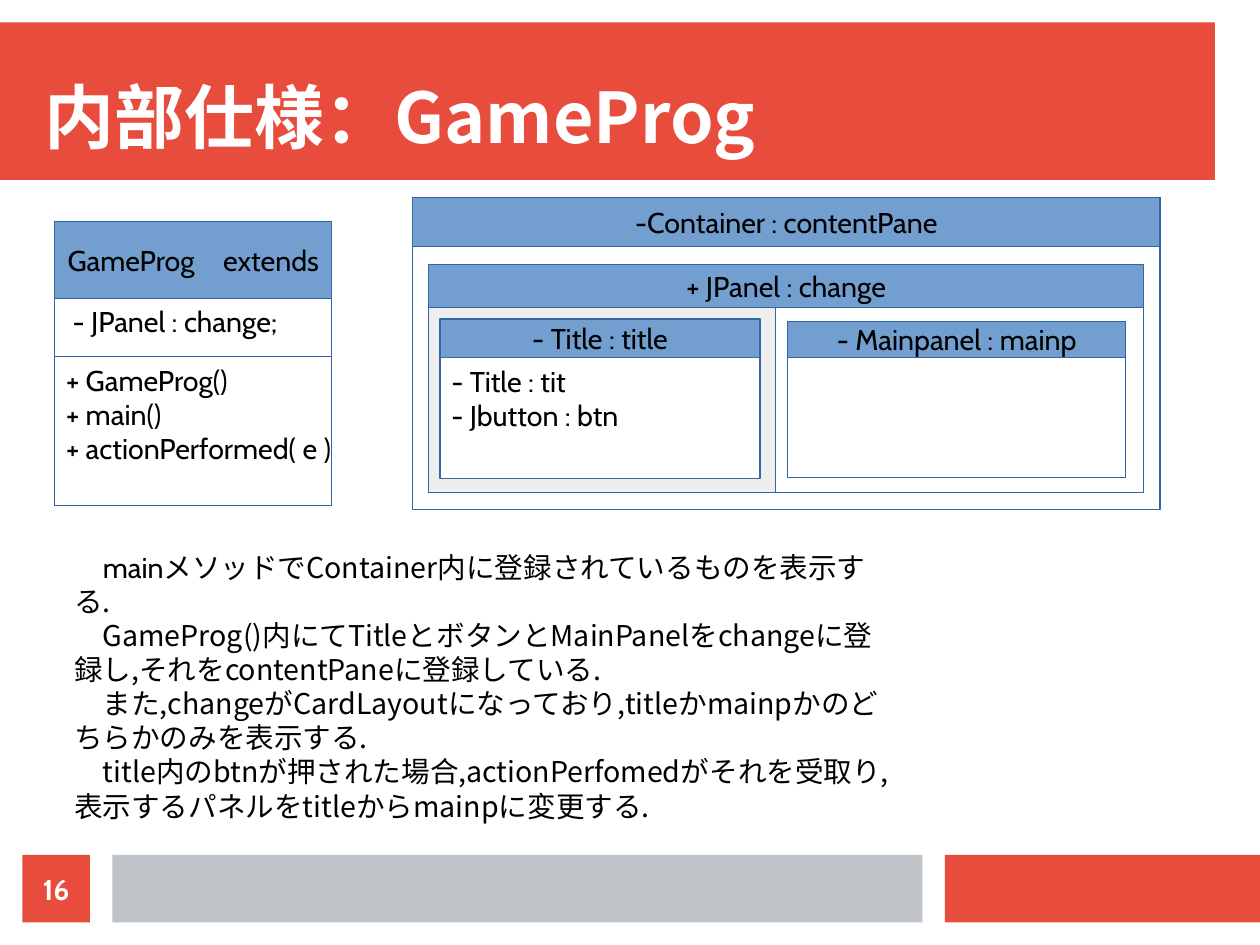
from pptx import Presentation
from pptx.dml.color import RGBColor
from pptx.enum.shapes import MSO_SHAPE
from pptx.enum.text import MSO_ANCHOR, PP_ALIGN
from pptx.oxml.ns import qn
from pptx.util import Cm, Pt

COLORS = {
    "red": "E74C3C", "gray": "BDC3C7", "blue": "729FCF", "edge": "3465A4",
    "pale": "EEEEEE", "white": "FFFFFF", "black": "000000",
}
LATIN = "Cabin"
JAPANESE = "Noto Sans CJK JP"

TITLE = "内部仕様：GameProg"
PAGE_NUMBER = "16"
BANDS = [
    ((0, 0.5, 27, 3.5), "red"),
    ((21, 19, 7, 1.5), "red"),
    ((2.5, 19, 18, 1.5), "gray"),
]
CLASS_LEFT, CLASS_TOP, CLASS_WIDTH = 1.22, 4.93, 6.15
CLASS_ROWS = [
    (1.7, ["GameProg　extends"]),
    (1.3, [" - JPanel : change;"]),
    (3.3, ["+ GameProg()", "+ main()", "+ actionPerformed( e )"]),
]
PANELS = [
    ("-Container : contentPane", (9.17, 4.39, 16.61, 6.93), 1.09, []),
    ("+ JPanel : change", (9.53, 5.87, 15.88, 5.08), 0.97, []),
    ("- Title : title", (9.78, 7.09, 7.11, 3.55), 0.86,
     ["- Title : tit", "- Jbutton : btn"]),
    ("- Mainpanel : mainp", (17.5, 7.14, 7.52, 3.48), 0.81, []),
]
TITLE_CARD = (9.53, 6.84, 7.7, 4.11)
EXPLANATION = [
    [("　main", LATIN),
     ("メソッドでContainer内に登録されているものを表示する.", JAPANESE)],
    [("　GameProg()内にてTitleとボタンとMainPanelをchangeに登録し,"
      "それをcontentPaneに登録している.", JAPANESE)],
    [("　また,changeがCardLayoutになっており,"
      "titleかmainpかのどちらかのみを表示する.", JAPANESE)],
    [("　title内のbtnが押された場合,actionPerfomedがそれを受取り,"
      "表示するパネルをtitleからmainpに変更する.", JAPANESE)],
]

deck = Presentation()
deck.slide_width, deck.slide_height = Cm(28), Cm(21)
page = deck.slides.add_slide(deck.slide_layouts[6])


def write(shape, paragraphs, font=LATIN, size=18, color="black", bold=False,
          align=PP_ALIGN.LEFT, anchor=MSO_ANCHOR.TOP, wrap=False,
          inset=(0.25, 0.13), spacing=None):
    frame = shape.text_frame
    frame.word_wrap = wrap
    frame.vertical_anchor = anchor
    frame.margin_left = frame.margin_right = Cm(inset[0])
    frame.margin_top = frame.margin_bottom = Cm(inset[1])
    for index, content in enumerate(paragraphs):
        para = frame.add_paragraph() if index else frame.paragraphs[0]
        para.alignment = align
        if spacing:
            para.line_spacing = Pt(spacing)
        pieces = [(content, font)] if isinstance(content, str) else content
        for text, name in pieces:
            span = para.add_run()
            span.text = text
            span.font.name = name
            span.font.size = Pt(size)
            span.font.bold = bold
            span.font.color.rgb = RGBColor.from_string(COLORS[color])
            properties = span.font._element
            east_asian = properties.makeelement(qn("a:ea"), {"typeface": JAPANESE})
            properties.find(qn("a:latin")).addnext(east_asian)


def rectangle(bounds, fill, edge=None):
    box = page.shapes.add_shape(MSO_SHAPE.RECTANGLE, *map(Cm, bounds))
    box.shadow.inherit = False
    box.fill.solid()
    box.fill.fore_color.rgb = RGBColor.from_string(COLORS[fill])
    if edge:
        box.line.color.rgb = RGBColor.from_string(COLORS[edge])
        box.line.width = Pt(0)
    else:
        box.line.fill.background()
    return box


def header(bounds, text):
    write(rectangle(bounds, "blue", "edge"), [text],
          align=PP_ALIGN.CENTER, anchor=MSO_ANCHOR.MIDDLE)


for bounds, fill in BANDS:
    rectangle(bounds, fill)
title_box = page.shapes.add_textbox(Cm(1), Cm(1), Cm(26), Cm(2.5))
write(title_box, [TITLE], font=JAPANESE, size=44, color="white", bold=True,
      anchor=MSO_ANCHOR.BOTTOM, wrap=True, inset=(0, 0))

row_top = CLASS_TOP
for index, (height, lines) in enumerate(CLASS_ROWS):
    bounds = (CLASS_LEFT, row_top, CLASS_WIDTH, height)
    if index == 0:
        header(bounds, lines[0])
    else:
        write(rectangle(bounds, "white", "edge"), lines)
    row_top += height

explanation_box = page.shapes.add_textbox(Cm(1.4), Cm(12.09), Cm(18.67), Cm(7.72))
write(explanation_box, EXPLANATION, wrap=True, spacing=21.5)

for label, (left, top, width, height), header_height, lines in PANELS:
    if lines:
        rectangle(TITLE_CARD, "pale", "edge")
        body = (left, top + header_height, width, height - header_height)
    else:
        body = (left, top, width, height)
    body_box = rectangle(body, "white", "edge")
    if lines:
        write(body_box, lines)
    header((left, top, width, header_height), label)

number_box = rectangle((0.5, 19, 1.5, 1.5), "red")
write(number_box, [PAGE_NUMBER], color="white", bold=True, align=PP_ALIGN.CENTER,
      anchor=MSO_ANCHOR.MIDDLE, wrap=True, inset=(0, 0))

deck.save("out.pptx")
